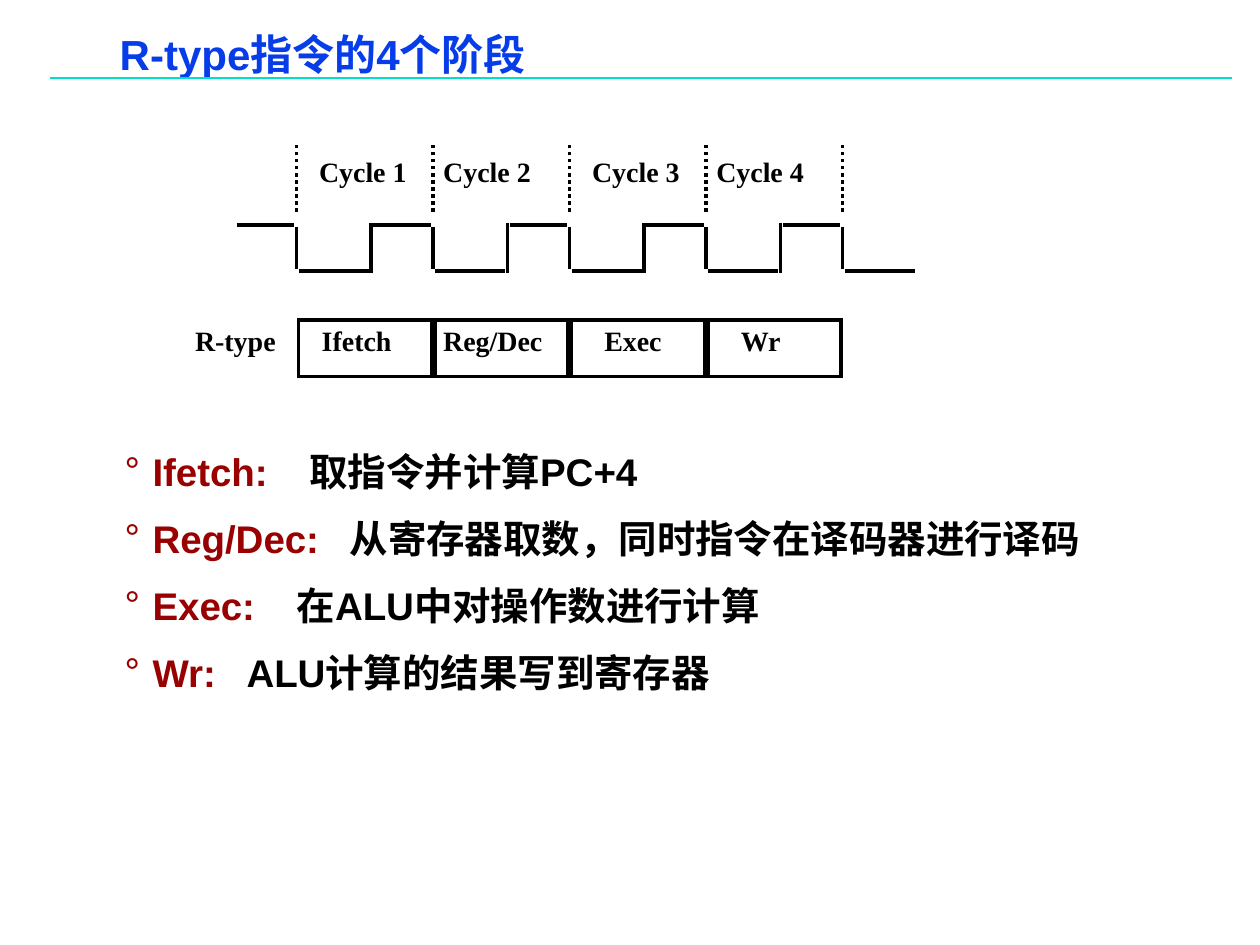
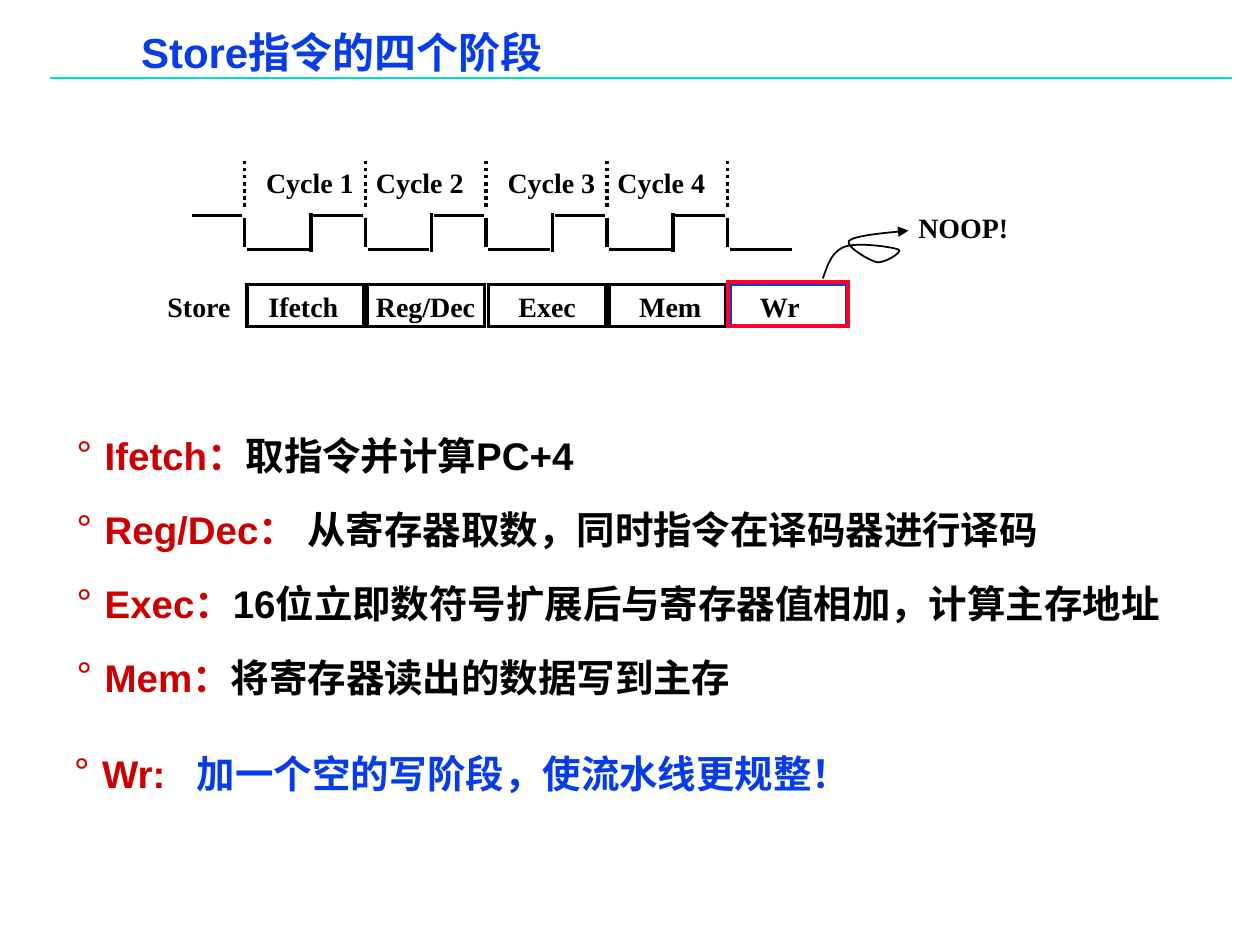
from dataclasses import dataclass

from lxml import etree
from pptx import Presentation
from pptx.dml.color import RGBColor
from pptx.enum.dml import MSO_LINE
from pptx.enum.shapes import MSO_CONNECTOR, MSO_SHAPE
from pptx.enum.text import MSO_ANCHOR, MSO_AUTO_SIZE, PP_ALIGN
from pptx.oxml.ns import qn
from pptx.util import Pt

BLACK = RGBColor(0x00, 0x00, 0x00)
BLUE = RGBColor(0x06, 0x3D, 0xE8)
TEAL = RGBColor(0x00, 0xDF, 0xCA)
MAROON = RGBColor(0x99, 0x00, 0x00)
CRIMSON = RGBColor(0xCC, 0x00, 0x00)
RED = RGBColor(0xFC, 0x01, 0x28)
SANS, SERIF, HAN = "Arial", "Times New Roman", "Noto Sans CJK SC"
DOTS = MSO_LINE.ROUND_DOT
STRAIGHT = MSO_CONNECTOR.STRAIGHT
RECT = MSO_SHAPE.RECTANGLE
TOP = MSO_ANCHOR.TOP
LEFT = PP_ALIGN.LEFT
FIT = MSO_AUTO_SIZE.SHAPE_TO_FIT_TEXT
TITLE_ONLY = 5
HANG = 16


@dataclass(frozen=True)
class Stage:
    name: str
    shift: float  # left of the label, as a share of a cycle
    width: float
    color: RGBColor = BLACK


@dataclass(frozen=True)
class Clock:
    left: float
    cycle: float
    rise: float
    high: float
    low: float
    dots: tuple[float, float]
    text_top: float


@dataclass(frozen=True)
class Row:
    name: str
    left: float
    width: float
    box_top: float
    box_height: float
    text_top: float
    stages: tuple[Stage, ...]


@dataclass(frozen=True)
class Point:
    head: str
    text: str
    tab: float = 0  # start of the text after the head; 0 means no gap
    color: RGBColor = BLACK
    font: str = SANS


IFETCH = Stage("Ifetch", 0.095, 58)
DECODE = Stage("Reg/Dec", -0.015, 75)
EXEC = Stage("Exec", 0.165, 50)
MEM = Stage("Mem", 0.165, 54)
WRITE = Stage("Wr", 0.165, 40)
BLUE_WRITE = Stage("Wr", 0.165, 40, BLUE)


def write(par, text: str, *, size: float = 16, color: RGBColor = BLACK,
          font: str = SERIF) -> None:
    """Add a bold run that uses one font for Latin and Chinese."""
    run = par.add_run()
    run.text = text
    run.font.size = Pt(size)
    run.font.bold = True
    run.font.name = font
    run.font.color.rgb = color
    east = etree.SubElement(run._r.get_or_add_rPr(), qn("a:ea"))
    east.set("typeface", font)


def pad(frame, side: float, edge: float) -> None:
    frame.margin_left = frame.margin_right = Pt(side)
    frame.margin_top = frame.margin_bottom = Pt(edge)
    frame.vertical_anchor = TOP


def add_line(slide, x1: float, y1: float, x2: float, y2: float, *,
             color: RGBColor = BLACK, width: float = 2, dash=None) -> None:
    line = slide.shapes.add_connector(STRAIGHT, Pt(x1), Pt(y1), Pt(x2), Pt(y2))
    line.line.color.rgb = color
    line.line.width = Pt(width)
    if dash:
        line.line.dash_style = dash
    etree.SubElement(line._element.spPr, qn("a:effectLst"))


def add_box(slide, x: float, y: float, w: float, h: float, *,
            color: RGBColor = BLACK, width: float = 2) -> None:
    box = slide.shapes.add_shape(RECT, Pt(x), Pt(y), Pt(w), Pt(h))
    box.shadow.inherit = False
    box.fill.background()
    box.line.color.rgb = color
    box.line.width = Pt(width)
    miter = etree.SubElement(box.line._get_or_add_ln(), qn("a:miter"))
    miter.set("lim", "800000")


def add_label(slide, text: str, x: float, y: float, w: float) -> None:
    label = slide.shapes.add_textbox(Pt(x), Pt(y), Pt(w), Pt(26.4))
    frame = label.text_frame
    frame.word_wrap = False
    frame.auto_size = FIT
    pad(frame, 7.2, 3.6)
    par = frame.paragraphs[0]
    par.alignment = LEFT
    write(par, text)


def add_slide(deck, title: str, x: float, y: float, w: float):
    slide = deck.slides.add_slide(deck.slide_layouts[TITLE_ONLY])
    add_line(slide, 28.8, 44.6, 704.2, 44.6, color=TEAL, width=1)
    head = slide.shapes.title
    head.left, head.top, head.width, head.height = Pt(x), Pt(y), Pt(w), Pt(28.8)
    pad(head.text_frame, 5, 2.2)
    par = head.text_frame.paragraphs[0]
    par.alignment = LEFT
    par.line_spacing = 0.87
    write(par, title, size=24, color=BLUE, font=SANS)
    return slide


def add_clock(slide, clock: Clock, count: int = 4) -> None:
    gap = 1.3
    high, low = clock.high, clock.low
    for i in range(-1, count + 1):
        x = clock.left + i * clock.cycle
        rise = x + clock.rise
        if i >= 0:
            add_line(slide, x + gap, low, rise - gap, low)
            add_line(slide, x, high + gap, x, low - gap)
            add_line(slide, x, clock.dots[1], x, clock.dots[0], dash=DOTS)
        if 0 <= i < count:
            add_line(slide, rise, low + gap, rise, high - gap)
            shift = -0.015 if i % 2 else 0.075
            add_label(slide, f"Cycle {i + 1}", x + shift * clock.cycle,
                      clock.text_top, 66)
        if i < count:
            add_line(slide, rise + gap, high, x + clock.cycle - gap, high)


def add_row(slide, clock: Clock, row: Row) -> None:
    add_label(slide, row.name, row.left, row.text_top, row.width)
    for i, stage in enumerate(row.stages):
        x = clock.left + i * clock.cycle
        add_box(slide, x + 1.3, row.box_top, clock.cycle - 2.2, row.box_height,
                color=stage.color)
        add_label(slide, stage.name, x + stage.shift * clock.cycle,
                  row.text_top, stage.width)


def add_points(slide, points: list[Point], x: float, y: float, w: float,
               h: float, *, color: RGBColor, spacing: float) -> None:
    frame = slide.shapes.add_textbox(Pt(x), Pt(y), Pt(w), Pt(h)).text_frame
    frame.word_wrap = True
    pad(frame, 5, 2.2)
    for i, point in enumerate(points):
        par = frame.add_paragraph() if i else frame.paragraphs[0]
        props = par._p.get_or_add_pPr()
        props.set("marL", str(Pt(HANG)))
        props.set("indent", str(Pt(-HANG)))
        etree.SubElement(props, qn("a:buFont")).set("typeface", SANS)
        etree.SubElement(props, qn("a:buChar")).set("char", "°")
        if point.tab:
            tabs = etree.SubElement(props, qn("a:tabLst"))
            stop = etree.SubElement(tabs, qn("a:tab"))
            stop.set("pos", str(Pt(point.tab)))
            stop.set("algn", "l")
        par.line_spacing = spacing
        par.space_before = Pt(6.6 if i else 0)
        gap = "\t" if point.tab else ""
        write(par, point.head + gap, size=22, color=color, font=SANS)
        write(par, point.text, size=22, color=point.color, font=point.font)


def add_curve(slide, start: tuple[float, float], bends: list[tuple]) -> None:
    """Draw joined cubic curves that end in an arrowhead."""
    steps = 16
    dots = []
    last = start
    for bend in bends:
        knots = (last, *bend)
        for n in range(1, steps + 1):
            t = n / steps
            parts = ((1 - t) ** 3, 3 * t * (1 - t) ** 2,
                     3 * t ** 2 * (1 - t), t ** 3)
            dots.append(tuple(Pt(sum(p * k[axis] for p, k in zip(parts, knots)))
                              for axis in (0, 1)))
        last = bend[-1]
    trace = slide.shapes.build_freeform(Pt(start[0]), Pt(start[1]))
    trace.add_line_segments(dots, close=False)
    curve = trace.convert_to_shape()
    curve.shadow.inherit = False
    curve.fill.background()
    curve.line.color.rgb = BLACK
    curve.line.width = Pt(1)
    tail = etree.SubElement(curve.line._get_or_add_ln(), qn("a:tailEnd"))
    tail.set("type", "triangle")


def build_rtype(deck) -> None:
    slide = add_slide(deck, "R-type指令的4个阶段", 63.4, 18, 421)
    add_points(slide, [
        Point("Ifetch:", "取指令并计算PC+4", 105.7),
        Point("Reg/Dec:", "从寄存器取数，同时指令在译码器进行译码", 128.6),
        Point("Exec:", "在ALU中对操作数进行计算", 98.3),
        Point("Wr:", "ALU计算的结果写到寄存器", 69.7),
    ], 66.2, 248.6, 564, 154, color=MAROON, spacing=1.2)
    clock = Clock(169.4, 78, 42.5, 128.6, 154.8, (82.8, 121), 84.5)
    add_clock(slide, clock)
    add_row(slide, clock, Row("R-type", 104.4, 64, 182.9, 32.4, 181.4,
                              (IFETCH, DECODE, EXEC, WRITE)))


def build_store(deck) -> None:
    slide = add_slide(deck, "Store指令的四个阶段", 75.6, 16.6, 363)
    add_points(slide, [
        Point("Ifetch：", "取指令并计算PC+4"),
        Point("Reg/Dec：", " 从寄存器取数，同时指令在译码器进行译码"),
        Point("Exec：", "16位立即数符号扩展后与寄存器值相加，计算主存地址"),
        Point("Mem：", "将寄存器读出的数据写到主存"),
    ], 38.9, 235.4, 657.4, 170, color=CRIMSON, spacing=1.35)
    clock = Clock(139.8, 69, 37.9, 123.1, 142.6, (90, 118.1), 91)
    add_clock(slide, clock)
    add_row(slide, clock, Row("Store", 88.6, 54, 162.7, 23.8, 162,
                              (IFETCH, DECODE, EXEC, MEM, BLUE_WRITE)))
    add_points(slide, [
        Point("Wr:", "加一个空的写阶段，使流水线更规整！", 70.1, BLUE, HAN),
    ], 37.4, 424.8, 512, 30.2, color=CRIMSON, spacing=1.05)
    add_curve(slide, (470.2, 159.1), [
        ((473, 151.2), (475.2, 144), (482.4, 141.1)),
        ((489.6, 138.2), (509.8, 141.1), (513.4, 142.6)),
        ((516.2, 144), (505.4, 150.5), (501.1, 149.8)),
        ((496.8, 149), (482.4, 140.4), (485.3, 137.5)),
        ((488.9, 134.6), (504, 133.2), (519.1, 131.8)),
    ])
    add_label(slide, "NOOP!", 517.7, 116.6, 68)
    add_box(slide, 416.2, 161.3, 68.4, 25.2, color=RED, width=2.25)


def main() -> None:
    deck = Presentation()
    deck.slide_width, deck.slide_height = Pt(720), Pt(540)
    build_rtype(deck)
    build_store(deck)
    deck.save("out.pptx")


if __name__ == "__main__":
    main()
